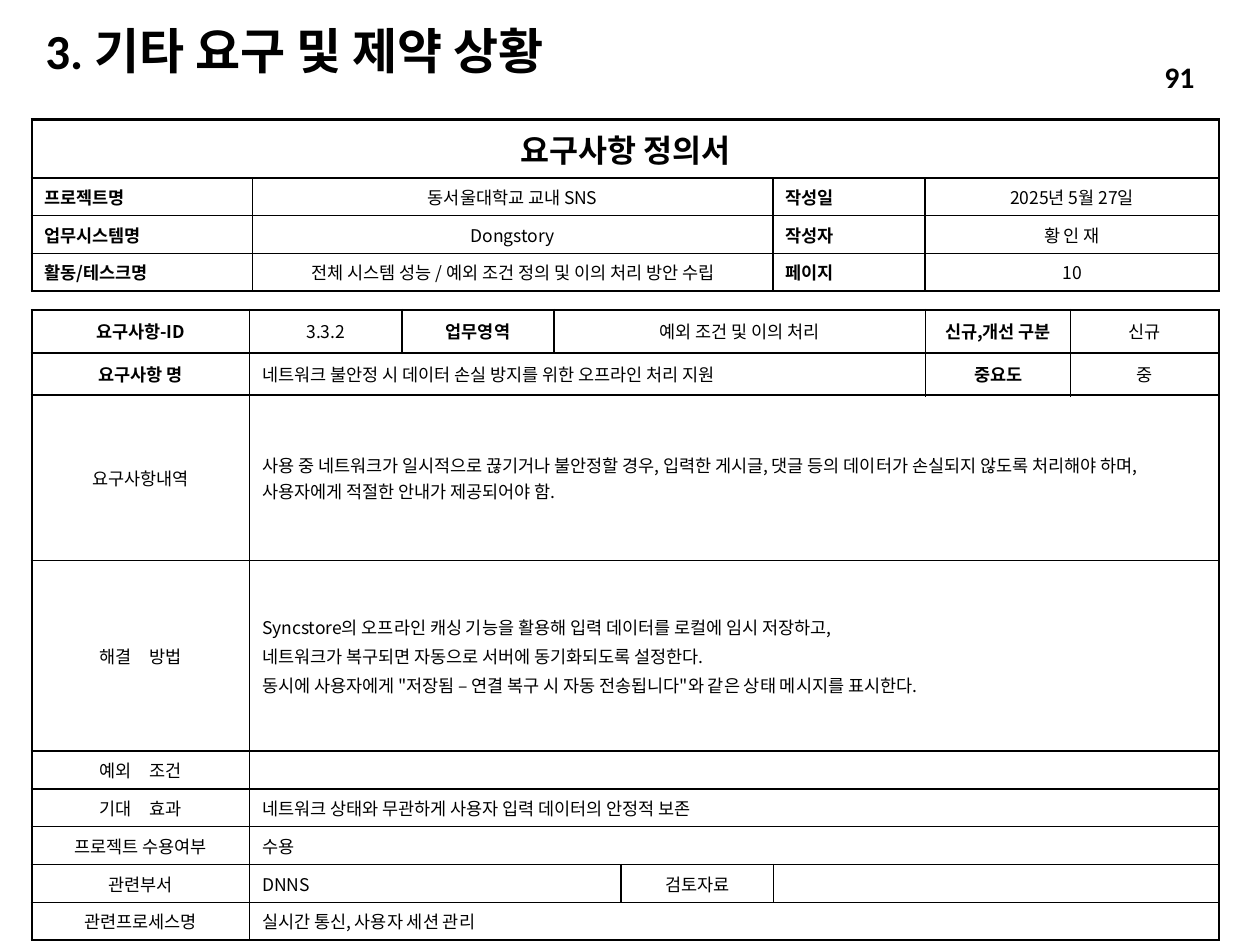
from lxml.etree import SubElement
from pptx import Presentation
from pptx.dml.color import RGBColor
from pptx.enum.text import MSO_ANCHOR as Anchor, PP_ALIGN as Align
from pptx.oxml.ns import qn
from pptx.util import Cm, Pt

COLORS = {"ink": "000000", "paper": "FFFFFF"}
LATIN = "Calibri"
KOREAN = "Noto Sans CJK KR"
THICK, THIN = 1.5, 1

HEADER_COLUMNS = [4.45, 10.49, 3.07, 5.92]
HEADER_HEIGHTS = [1.17] + [0.69] * 3
HEADER_FIELDS = [
    ("프로젝트명", "동서울대학교 교내 SNS", "작성일", "2025년 5월 27일"),
    ("업무시스템명", "Dongstory", "작성자", "황 인 재"),
    ("활동/테스크명", "전체 시스템 성능 / 예외 조건 정의 및 이의 처리 방안 수립", "페이지", "10"),
]

DETAIL_COLUMNS = [4.39, 3.07, 3.07, 1.35, 3.07, 3.07, 2.92, 2.99]
DETAIL_HEIGHTS = [0.86, 0.86, 3.33, 3.84] + [0.69] * 5
DETAIL_KEY_ROWS = 2
DETAIL_ROWS = [
    [("요구사항-ID", 1, "key"), ("3.3.2", 1, "value"), ("업무영역", 1, "key"),
     ("예외 조건 및 이의 처리", 3, "value"), ("신규,개선 구분", 1, "key"), ("신규", 1, "value")],
    [("요구사항 명", 1, "key"), ("네트워크 불안정 시 데이터 손실 방지를 위한 오프라인 처리 지원", 5, "body"),
     ("중요도", 1, "key"), ("중", 1, "value")],
    [("요구사항내역", 1, "value"),
     ("사용 중 네트워크가 일시적으로 끊기거나 불안정할 경우, 입력한 게시글, 댓글 등의 데이터가 "
      "손실되지 않도록 처리해야 하며, 사용자에게 적절한 안내가 제공되어야 함.", 7, "body")],
    [("해결　방법", 1, "value"),
     ("Syncstore의 오프라인 캐싱 기능을 활용해 입력 데이터를 로컬에 임시 저장하고,\n"
      "네트워크가 복구되면 자동으로 서버에 동기화되도록 설정한다.\n"
      "동시에 사용자에게 \"저장됨 – 연결 복구 시 자동 전송됩니다\"와 같은 상태 메시지를 표시한다.", 7, "body")],
    [("예외　조건", 1, "value"), ("", 7, "body")],
    [("기대　효과", 1, "value"), ("네트워크 상태와 무관하게 사용자 입력 데이터의 안정적 보존", 7, "body")],
    [("프로젝트 수용여부", 1, "value"), ("수용", 7, "body")],
    [("관련부서", 1, "value"), ("DNNS", 3, "body"), ("검토자료", 1, "value"), ("", 3, "body")],
    [("관련프로세스명", 1, "value"), ("실시간 통신, 사용자 세션 관리", 7, "body")],
]

STYLES = {
    "heading": (18, True, Align.CENTER),
    "label": (10, True, Align.JUSTIFY),
    "key": (10, True, Align.CENTER),
    "value": (10, False, Align.CENTER),
    "body": (10, False, Align.LEFT),
}


def rgb(name):
    return RGBColor.from_string(COLORS[name])


def add_run(paragraph, text, size, bold, latin):
    run = paragraph.add_run()
    run.text = text
    run.font.size = Pt(size)
    run.font.bold = bold
    run.font.name = latin
    run.font.color.rgb = rgb("ink")
    SubElement(run.font._element, qn("a:ea"), typeface=KOREAN)


def place(shape, left, top, width, height):
    shape.left, shape.top, shape.width, shape.height = map(Cm, (left, top, width, height))


def draw_borders(cell, widths):
    properties = cell._tc.get_or_add_tcPr()
    for side, width in zip("LRTB", widths):
        line = SubElement(properties, qn(f"a:ln{side}"), w=str(Pt(width)))
        fill = SubElement(line, qn("a:solidFill"))
        SubElement(fill, qn("a:srgbClr"), val=COLORS["ink"])


def fill_cell(cell, text, style, anchor):
    size, bold, align = STYLES[style]
    cell.vertical_anchor = anchor
    frame = cell.text_frame
    for index, line in enumerate(text.split("\n")):
        paragraph = frame.add_paragraph() if index else frame.paragraphs[0]
        paragraph.alignment = align
        if index:
            paragraph.space_before = Pt(size * 0.2)
        if line:
            add_run(paragraph, line, size, bold, KOREAN)
        else:
            SubElement(paragraph._p, qn("a:endParaRPr"), sz=str(size * 100))


def add_form(slide, top, columns, heights, rows, thick_rules, anchors):
    frame = slide.shapes.add_table(
        len(heights), len(columns), Cm(0.64), Cm(top), Cm(sum(columns)), Cm(sum(heights)))
    table = frame.table
    table.first_row = table.horz_banding = False
    for column, width in zip(table.columns, columns):
        column.width = Cm(width)
    for row, height in zip(table.rows, heights):
        row.height = Cm(height)
    for r, entries in enumerate(rows):
        start = 0
        for text, span, style in entries:
            end = start + span
            cell = table.cell(r, start)
            if span > 1:
                cell.merge(table.cell(r, end - 1))
            edges = (start == 0, end == len(columns), r in thick_rules, r + 1 in thick_rules)
            draw_borders(cell, [THICK if edge else THIN for edge in edges])
            fill_cell(cell, text, style, anchors[r])
            start = end
    for cell in table.iter_cells():
        cell.fill.solid()
        cell.fill.fore_color.rgb = rgb("paper")


def add_title(slide, text):
    title = slide.shapes.title
    place(title, 0.66, 0.53, 13.61, 1.12)
    title.text_frame.vertical_anchor = Anchor.MIDDLE
    paragraph = title.text_frame.paragraphs[0]
    paragraph.alignment = Align.LEFT
    paragraph.line_spacing = 0.9
    add_run(paragraph, text, 28, True, LATIN)


def add_page_number(slide, number):
    box = slide.shapes.add_textbox(Cm(20.22), Cm(1.04), Cm(4.11), Cm(1.02))
    box.text_frame.word_wrap = True
    box.text_frame.vertical_anchor = Anchor.MIDDLE
    paragraph = box.text_frame.paragraphs[0]
    paragraph.alignment = Align.RIGHT
    add_run(paragraph, number, 17, True, LATIN)


def main():
    deck = Presentation()
    deck.slide_width, deck.slide_height = Cm(25.4), Cm(19.05)
    slide = deck.slides.add_slide(deck.slide_layouts[5])
    add_title(slide, "3. 기타 요구 및 제약 상황")
    add_form(slide, 6.25, DETAIL_COLUMNS, DETAIL_HEIGHTS, DETAIL_ROWS,
             {*range(DETAIL_KEY_ROWS + 1), len(DETAIL_ROWS)}, [Anchor.MIDDLE] * len(DETAIL_ROWS))
    header_rows = [[("요구사항 정의서", 4, "heading")]]
    for fields in HEADER_FIELDS:
        header_rows.append([(text, 1, style) for text, style in zip(fields, ("label", "value") * 2)])
    add_form(slide, 2.41, HEADER_COLUMNS, HEADER_HEIGHTS, header_rows,
             {0, len(header_rows)}, [Anchor.MIDDLE] + [Anchor.TOP] * len(HEADER_FIELDS))
    add_page_number(slide, "91")
    deck.save("out.pptx")


if __name__ == "__main__":
    main()
